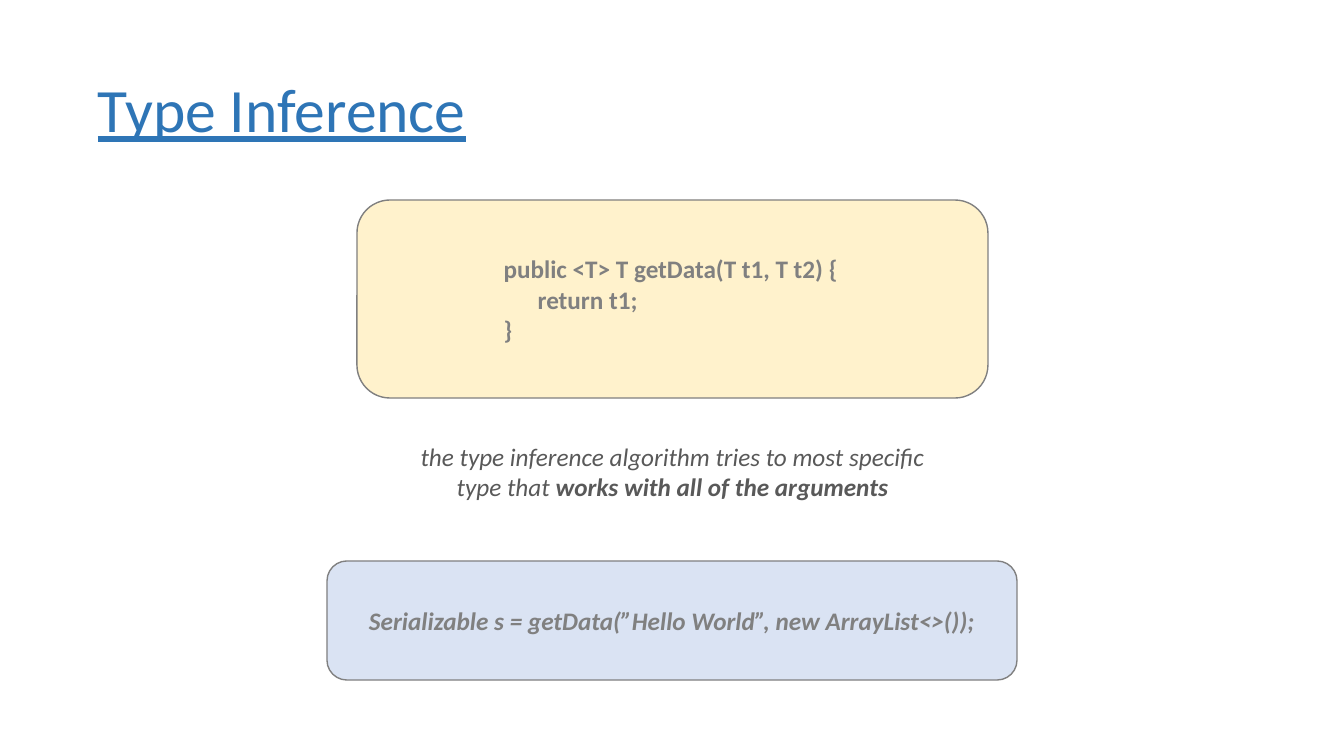
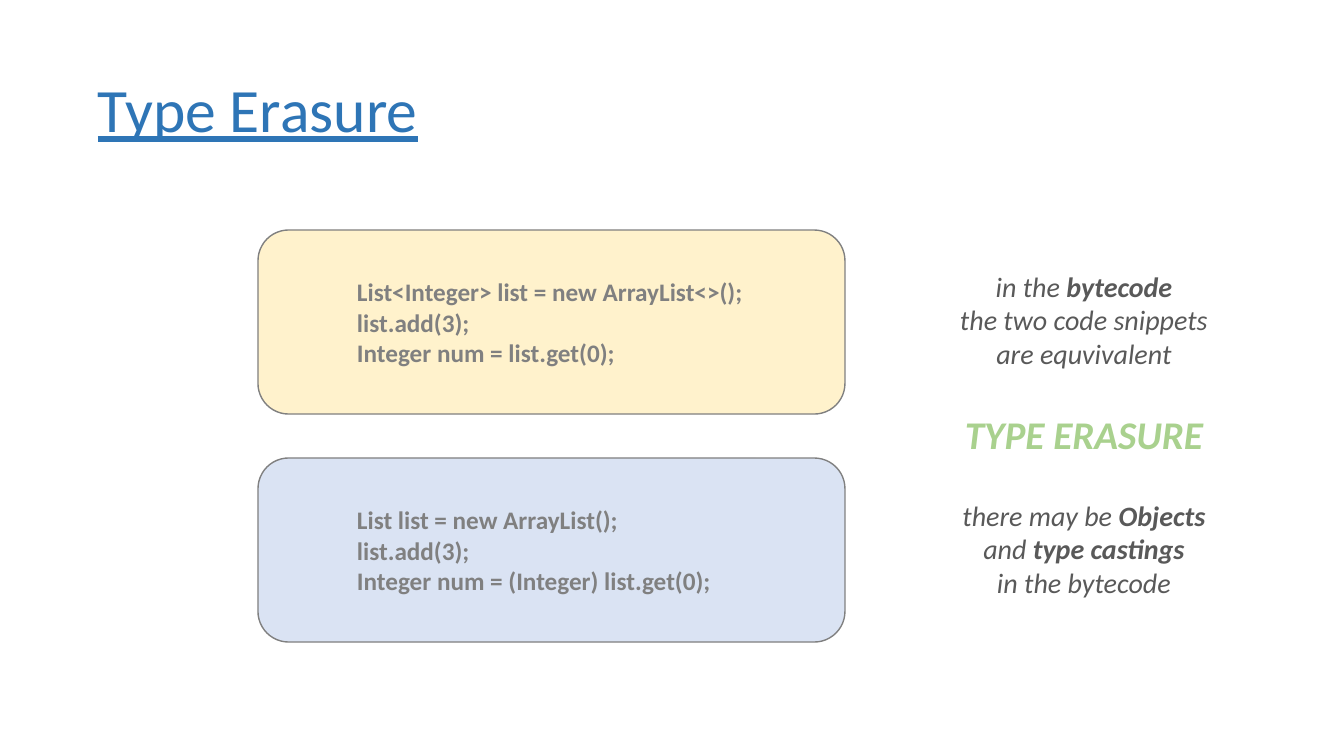
import dataclasses

import pptx
import pptx.dml.color
import pptx.enum.shapes
import pptx.enum.text
import pptx.util

EMU_PER_PX = 914400 / 100.8
FONT = "Calibri"
TITLE_BLUE = "2E75B6"
CODE_GREY = "808080"
NOTE_GREY = "595959"
GREEN = "A9D18E"
CREAM = "FFF2CC"
PALE_BLUE = "DAE3F3"
INSET = 5
LEFT = pptx.enum.text.PP_ALIGN.LEFT
CENTER = pptx.enum.text.PP_ALIGN.CENTER
TOP = pptx.enum.text.MSO_ANCHOR.TOP
MIDDLE = pptx.enum.text.MSO_ANCHOR.MIDDLE


@dataclasses.dataclass
class Line:
    """One paragraph: a plain part, a bold part, and its own format."""
    text: str
    strong: str = ""
    indent: int = 0
    gap: int = 0
    size: int = 0
    color: str = ""


def px(length):
    """Turn pixels into EMU."""
    return pptx.util.Emu(round(length * EMU_PER_PX))


def rgb(value):
    """Turn a hex string into a colour."""
    return pptx.dml.color.RGBColor.from_string(value)


def write_text(shape, lines, *, size, color, bold=False, italic=False,
               underline=False, align=LEFT, anchor=TOP, spacing=1.0,
               margin_left=INSET):
    """Fill a shape with formatted paragraphs."""
    frame = shape.text_frame
    frame.word_wrap = True
    frame.vertical_anchor = anchor
    frame.margin_left = px(margin_left)
    frame.margin_right = frame.margin_top = frame.margin_bottom = px(INSET)
    for index, line in enumerate(lines):
        paragraph = frame.add_paragraph() if index else frame.paragraphs[0]
        paragraph.alignment = align
        paragraph.line_spacing = spacing
        paragraph.space_before = paragraph.space_after = pptx.util.Pt(line.gap)
        if line.indent:
            paragraph._p.get_or_add_pPr().set("marL", str(px(line.indent)))
        for text, strong in ((line.text, bold), (line.strong, True)):
            if not text:
                continue
            run = paragraph.add_run()
            run.text = text
            font = run.font
            font.name = FONT
            font.size = pptx.util.Pt(line.size or size)
            font.color.rgb = rgb(line.color or color)
            font.bold, font.italic, font.underline = strong, italic, underline


def add_text(slide, box, lines, **text_format):
    """Add a text box."""
    shape = slide.shapes.add_textbox(*map(px, box))
    write_text(shape, lines, **text_format)


def add_note(slide, box, lines, size):
    """Add a centred italic remark."""
    add_text(slide, box, lines, size=size, color=NOTE_GREY, italic=True,
             align=CENTER)


def add_code_card(slide, box, fill, lines, **text_format):
    """Add a rounded card with bold code, centred vertically."""
    card = slide.shapes.add_shape(
        pptx.enum.shapes.MSO_SHAPE.ROUNDED_RECTANGLE, *map(px, box))
    card.shadow.inherit = False
    card.fill.solid()
    card.fill.fore_color.rgb = rgb(fill)
    card.line.color.rgb = rgb(CODE_GREY)
    card.line.width = pptx.util.Pt(1)
    write_text(card, lines, size=18, color=CODE_GREY, bold=True,
               anchor=MIDDLE, **text_format)


def add_titled_slide(presentation, title):
    """Add a blank slide with the shared title style."""
    slide = presentation.slides.add_slide(presentation.slide_layouts[6])
    add_text(slide, (93, 40, 1159, 146), [Line(title)], size=44,
             color=TITLE_BLUE, underline=True, anchor=MIDDLE, spacing=0.9)
    return slide


def build_inference_slide(presentation):
    """Build the slide on type inference."""
    slide = add_titled_slide(presentation, "Type Inference")
    add_code_card(slide, (357, 200, 631, 198), CREAM, [
        Line("public <T> T getData(T t1, T t2) {"),
        Line("return t1;", indent=34),
        Line("}"),
    ], margin_left=137)
    add_note(slide, (395, 436, 555, 69), [
        Line("the type inference algorithm tries to most specific"),
        Line("type that ", "works with all of the arguments"),
    ], size=18)
    add_code_card(slide, (327, 561, 690, 119), PALE_BLUE, [
        Line("Serializable s = getData(”Hello World”, new ArrayList<>());"),
    ], italic=True, align=CENTER)


def build_erasure_slide(presentation):
    """Build the slide on type erasure."""
    slide = add_titled_slide(presentation, "Type Erasure")
    snippets = [
        (CREAM, ["List<Integer> list = new ArrayList<>();",
                 "list.add(3);",
                 "Integer num = list.get(0);"]),
        (PALE_BLUE, ["List list = new ArrayList();",
                     "list.add(3);",
                     "Integer num = (Integer) list.get(0);"]),
    ]
    for index, (fill, code) in enumerate(snippets):
        add_code_card(slide, (258, 230 + index * 228, 587, 184), fill,
                      [Line(text) for text in code], margin_left=90)
    add_note(slide, (938, 264, 292, 335), [
        Line("in the ", "bytecode"),
        Line("the two code snippets are equvivalent"),
        Line("", "TYPE ERASURE", gap=29, size=28, color=GREEN),
        Line("there may be ", "Objects"),
        Line("and ", "type castings"),
        Line("in the bytecode"),
    ], size=20)


def main():
    """Build and save the presentation."""
    presentation = pptx.Presentation()
    presentation.slide_width = px(1344)
    presentation.slide_height = px(756)
    build_inference_slide(presentation)
    build_erasure_slide(presentation)
    presentation.save("out.pptx")


if __name__ == "__main__":
    main()
